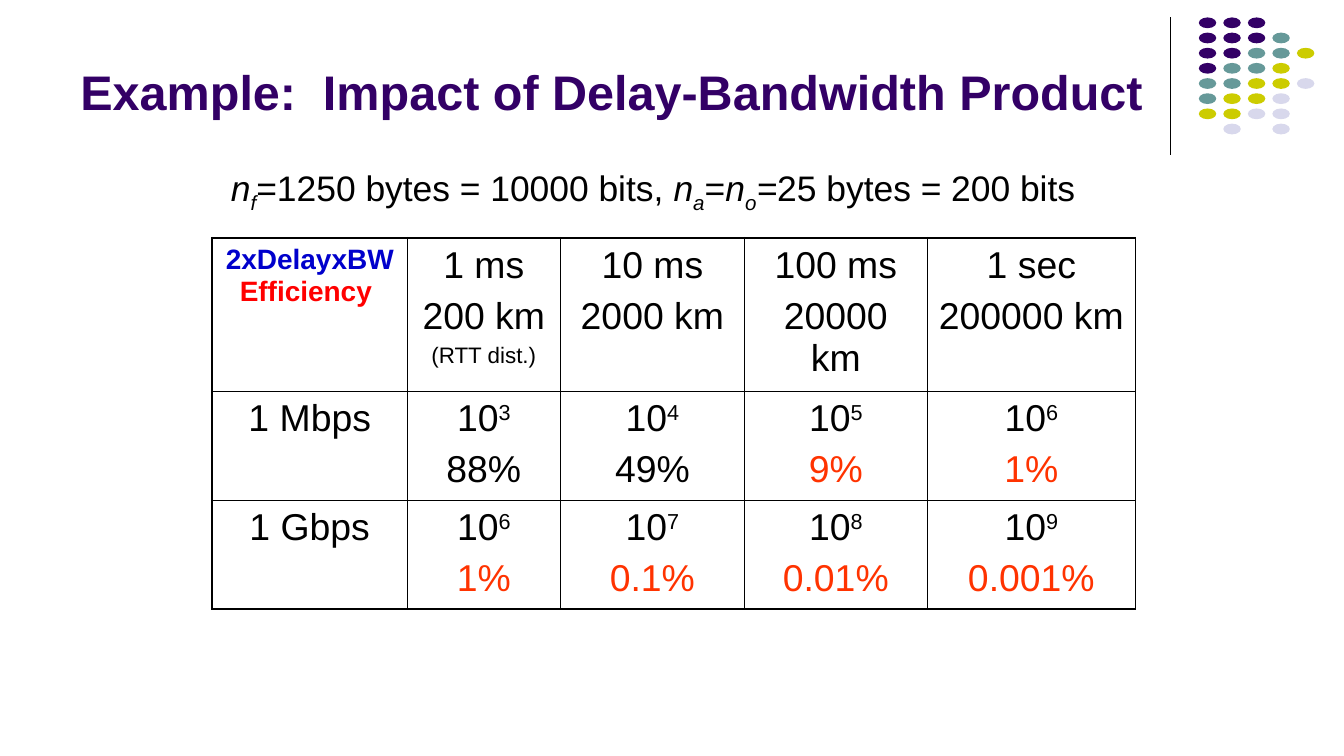
from lxml import etree
from pptx import Presentation
from pptx.dml.color import RGBColor
from pptx.enum.shapes import MSO_CONNECTOR, MSO_SHAPE
from pptx.enum.text import MSO_ANCHOR, PP_ALIGN
from pptx.oxml.ns import qn
from pptx.util import Inches, Pt

CENTER, BOTTOM = PP_ALIGN.CENTER, MSO_ANCHOR.BOTTOM
OVAL, STRAIGHT = MSO_SHAPE.OVAL, MSO_CONNECTOR.STRAIGHT
COLORS = {
    "black": "000000", "purple": "330066", "teal": "669999", "olive": "CCCC00",
    "lavender": "D8D8EC", "blue": "0000CC", "red": "FF0000", "orange": "FF3300",
}


def add_span(para, text, size, color="black", bold=False, italic=False, baseline=0):
    """Add one styled run; baseline is a percentage shift."""
    span = para.add_run()
    span.text = text
    font = span.font
    font.name, font.size, font.bold, font.italic = "Arial", Pt(size), bold, italic
    font.color.rgb = RGBColor.from_string(COLORS[color])
    if baseline:
        span._r.get_or_add_rPr().set("baseline", str(baseline * 1000))


def add_border(cell, side, width):
    """Draw a solid black line on one side of a table cell."""
    line = etree.SubElement(cell._tc.get_or_add_tcPr(), qn("a:ln" + side), w=str(Pt(width)))
    fill = etree.SubElement(line, qn("a:solidFill"))
    etree.SubElement(fill, qn("a:srgbClr"), val=COLORS["black"])


deck = Presentation()
deck.slide_width = Inches(10)
deck.slide_height = Inches(10) * 9 // 16
page = deck.slides.add_slide(deck.slide_layouts[6])

# Corner decoration: a rule and a grid of dots
rule = page.shapes.add_connector(STRAIGHT, Inches(8.71), Inches(0.13), Inches(8.71), Inches(1.15))
rule.line.color.rgb = RGBColor.from_string(COLORS["black"])
rule.line.width = Pt(0.74)
etree.SubElement(rule._element.spPr, qn("a:effectLst"))

DOT_COLORS = {"P": "purple", "T": "teal", "O": "olive", "L": "lavender"}
DOT_ROWS = ["PPP", "PPPT", "PPTTO", "PTTO", "TTOOL", "TOOL", "OOLL", " L L"]
for row, pattern in enumerate(DOT_ROWS):
    for column, code in enumerate(pattern):
        if code == " ":
            continue
        dot = page.shapes.add_shape(OVAL, Inches(8.92 + 0.73 * column / 4),
                                    Inches(0.13 + 0.79 * row / 7), Inches(0.13), Inches(0.08))
        dot.shadow.inherit = False
        dot.fill.solid()
        dot.fill.fore_color.rgb = RGBColor.from_string(COLORS[DOT_COLORS[code]])
        dot.line.fill.background()

# Title and frame sizes
title = page.shapes.add_textbox(Inches(0.5), Inches(0.1), Inches(8.25), Inches(0.84))
title.text_frame.word_wrap = True
title.text_frame.vertical_anchor = BOTTOM
add_span(title.text_frame.paragraphs[0], "Example:  Impact of Delay-Bandwidth Product",
         26, "purple", bold=True)

sizes = page.shapes.add_textbox(Inches(1.62), Inches(1.19), Inches(7.02), Inches(0.56))
sizes.text_frame.word_wrap = True
sizes_para = sizes.text_frame.paragraphs[0]
sizes_para.space_before = Pt(4.8)
for text, italic, baseline in [
    ("n", True, 0), ("f", True, -25), ("=1250 bytes = 10000 bits, ", False, 0),
    ("n", True, 0), ("a", True, -25), ("=", False, 0),
    ("n", True, 0), ("o", True, -25), ("=", True, 0), ("25 bytes = 200 bits", False, 0),
]:
    add_span(sizes_para, text, 19, italic=italic, baseline=baseline)

# Each cell is a list of paragraphs: (space before, [(text, size, style), ...])
HEADERS = [["1 ms", "200 km"], ["10 ms", "2000 km"], ["100 ms", "20000 km"], ["1 sec", "200000 km"]]
RATES = [
    ("1 Mbps", [("3", "88%", "black"), ("4", "49%", "black"),
                ("5", "9%", "orange"), ("6", "1%", "orange")]),
    ("1 Gbps", [("6", "1%", "orange"), ("7", "0.1%", "orange"),
                ("8", "0.01%", "orange"), ("9", "0.001%", "orange")]),
]
corner = [(3.7, [("2xDelayxBW ", 15, {"color": "blue", "bold": True}),
                 ("Efficiency ", 15, {"color": "red", "bold": True})])]
header_row = [[(5, [(text, 20, {})]) for text in lines] for lines in HEADERS]
header_row[0].append((3, [("(RTT dist.)", 12, {})]))
content = [[corner] + header_row]
for rate, results in RATES:
    content.append([[(5, [(rate, 20, {})])]] + [
        [(5, [("10", 20, {}), (power, 20, {"baseline": 30})]),
         (5, [(efficiency, 20, {"color": color})])]
        for power, efficiency, color in results
    ])

COLUMN_WIDTHS, ROW_HEIGHTS = [1.45, 1.14, 1.37, 1.36, 1.55], [1.14, 0.81, 0.81]
last_row, last_column = len(ROW_HEIGHTS) - 1, len(COLUMN_WIDTHS) - 1
table = page.shapes.add_table(len(ROW_HEIGHTS), len(COLUMN_WIDTHS), Inches(1.58), Inches(1.77),
                              Inches(sum(COLUMN_WIDTHS)), Inches(sum(ROW_HEIGHTS))).table
table.first_row = table.horz_banding = False
for column, width in enumerate(COLUMN_WIDTHS):
    table.columns[column].width = Inches(width)
for row, height in enumerate(ROW_HEIGHTS):
    table.rows[row].height = Inches(height)
    for column, paragraphs in enumerate(content[row]):
        cell = table.cell(row, column)
        cell.margin_left = cell.margin_right = Inches(0.08)
        cell.margin_top, cell.margin_bottom = Inches(0.05), Inches(0.02)
        for index, (space, spans) in enumerate(paragraphs):
            frame = cell.text_frame
            para = frame.add_paragraph() if index else frame.paragraphs[0]
            para.alignment = CENTER
            para.space_before = Pt(space)
            for text, size, style in spans:
                add_span(para, text, size, **style)
        outer_sides = {"L": column == 0, "R": column == last_column,
                       "T": row == 0, "B": row == last_row}
        for side, is_outer in outer_sides.items():
            add_border(cell, side, 1.08 if is_outer else 0.45)
        cell.fill.background()

deck.save("out.pptx")
